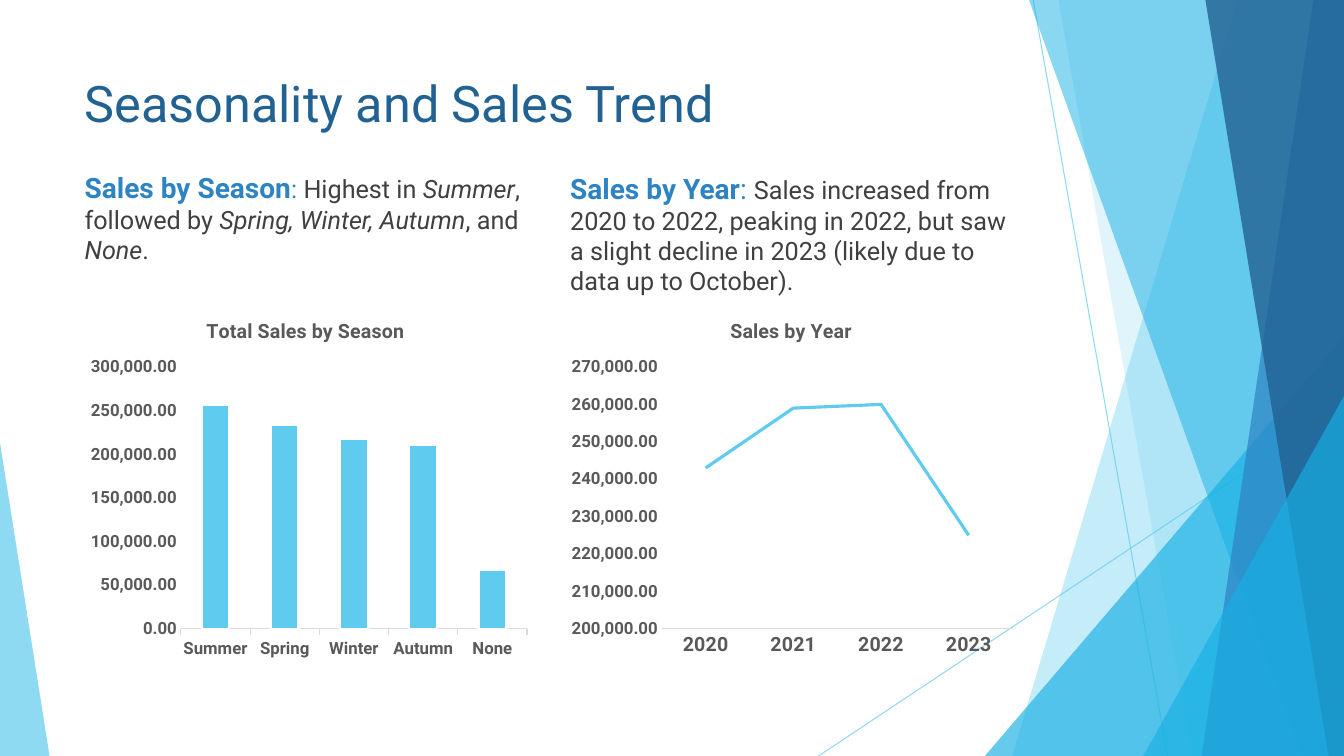
"""Build the slide on seasonality and the yearly sales trend."""
import pptx
import pptx.chart.data
import pptx.dml.color
import pptx.enum.chart
import pptx.enum.shapes
import pptx.enum.text
import pptx.oxml
import pptx.oxml.ns
import pptx.util
from lxml import etree

COLORS = {
    "sky": "5FCBEF", "cyan": "17B0E4", "blue": "2E83C3", "navy": "226292",
    "body": "404040", "label": "595959", "rule": "D9D9D9", "white": "FFFFFF",
}
COLUMNS, ROWS = 32, 18
LEFT, RIGHT, HALF = 1.78, 13.34, 10.99
CHART_TOP, CHART_HEIGHT = 7.18, 8.66
NO_TICK = pptx.enum.chart.XL_TICK_MARK.NONE
TICK_OUT = pptx.enum.chart.XL_TICK_MARK.OUTSIDE


def rgb(name):
    return pptx.dml.color.RGBColor.from_string(COLORS[name])


def set_font(font, size, color, bold=False, italic=False):
    font.name = "Roboto"
    font.size = pptx.util.Pt(size)
    font.bold = bold
    font.italic = italic
    font.color.rgb = rgb(color)


def write(paragraph, text, **style):
    run = paragraph.add_run()
    run.text = text
    set_font(run.font, **style)


def set_opacity(shape, percent):
    for color in shape._element.iter(pptx.oxml.ns.qn("a:srgbClr")):
        etree.SubElement(color, pptx.oxml.ns.qn("a:alpha"), val=str(percent * 1000))


class SalesSlide:
    """Draw elements on a grid of 32 columns by 18 rows."""

    def __init__(self, deck):
        self.slide = deck.slides.add_slide(deck.slide_layouts[6])
        self.shapes = self.slide.shapes
        self.column = deck.slide_width / COLUMNS
        self.row = deck.slide_height / ROWS

    def place(self, x, y):
        return round(x * self.column), round(y * self.row)

    def box(self, x, y, width, height):
        return *self.place(x, y), *self.place(width, height)

    def finish(self, shape, color, opacity):
        shape.shadow.inherit = False
        shape.fill.solid()
        shape.fill.fore_color.rgb = rgb(color)
        shape.line.fill.background()
        set_opacity(shape, opacity)

    def ray(self, start, end):
        ray = self.shapes.add_connector(
            pptx.enum.shapes.MSO_CONNECTOR.STRAIGHT, *self.place(*start), *self.place(*end))
        ray.line.width = pptx.util.Pt(0.75)
        ray.line.color.rgb = rgb("sky")
        set_opacity(ray, 70)
        etree.SubElement(ray._element.spPr, pptx.oxml.ns.qn("a:effectLst"))

    def band(self, top_x, bottom_x, color, opacity):
        outline = self.shapes.build_freeform(*self.place(top_x, 0))
        corners = [(COLUMNS, 0), (COLUMNS, ROWS), (bottom_x, ROWS)]
        outline.add_line_segments([self.place(*corner) for corner in corners], close=True)
        self.finish(outline.convert_to_shape(), color, opacity)

    def wedge(self, x, y, width, apex, color, opacity):
        wedge = self.shapes.add_shape(
            pptx.enum.shapes.MSO_SHAPE.ISOSCELES_TRIANGLE, *self.box(x, y, width, ROWS - y))
        wedge.adjustments[0] = apex
        self.finish(wedge, color, opacity)

    def text(self, area, runs, anchor, space_before=0):
        frame = self.shapes.add_textbox(*self.box(*area)).text_frame
        frame.word_wrap = True
        frame.vertical_anchor = anchor
        paragraph = frame.paragraphs[0]
        paragraph.space_before = pptx.util.Pt(space_before)
        for words, style in runs:
            write(paragraph, words, **style)

    def chart(self, kind, x, title, sales, limits, plot_area, label_size, tick):
        data = pptx.chart.data.CategoryChartData(number_format="#,##0.00")
        data.categories = list(sales)
        data.add_series("Series 1", list(sales.values()))
        area = self.box(x, CHART_TOP, HALF, CHART_HEIGHT)
        chart = self.shapes.add_chart(kind, *area, data).chart
        set_font(chart.font, 10, "label")
        chart.has_legend = False
        chart.has_title = True
        write(chart.chart_title.text_frame.paragraphs[0], title,
              size=14, color="label", bold=True)
        chart.chart_title.include_in_layout = False
        self.axes(chart, limits, label_size, tick)
        self.plot_layout(chart, plot_area)
        chart.plots[0].vary_by_categories = False
        return chart

    def axes(self, chart, limits, label_size, tick):
        values, names = chart.value_axis, chart.category_axis
        values.minimum_scale, values.maximum_scale, values.major_unit = limits
        values.tick_labels.number_format = "#,##0.00"
        values.tick_labels.number_format_is_linked = False
        values.has_major_gridlines = False
        values.major_tick_mark = NO_TICK
        values.format.line.fill.background()
        names.major_tick_mark = tick
        names.format.line.color.rgb = rgb("rule")
        names.format.line.width = pptx.util.Pt(0.75)
        set_font(values.tick_labels.font, 12, "label", bold=True)
        set_font(names.tick_labels.font, label_size, "label", bold=True)

    def plot_layout(self, chart, shares):
        area = chart._chartSpace.chart.plotArea
        for old in area.findall(pptx.oxml.ns.qn("c:layout")):
            area.remove(old)
        settings = [("layoutTarget", "inner"), ("xMode", "edge"), ("yMode", "edge"),
                    *zip("xywh", shares)]
        inner = "".join(f'<c:{tag} val="{value}"/>' for tag, value in settings)
        area.insert(0, pptx.oxml.parse_xml(
            f'<c:layout {pptx.oxml.ns.nsdecls("c")}>'
            f"<c:manualLayout>{inner}</c:manualLayout></c:layout>"))


def draw_backdrop(page):
    page.ray((24.6, 0), (27.8, ROWS))
    page.ray((COLUMNS, 9.67), (19.49, ROWS))
    page.band(29.47, 24.1, "sky", 36)
    page.band(25.2, 28.39, "sky", 20)
    page.wedge(23.45, 8, 8.55, 1, "cyan", 66)
    page.band(24.5, 30.98, "cyan", 50)
    page.band(31.27, 28.61, "blue", 70)
    page.band(28.7, 31.63, "navy", 80)
    page.wedge(27.22, 9.43, 4.78, 1, "cyan", 66)
    page.wedge(0, 10.54, 1.18, 0, "sky", 70)


def draw_text(page):
    anchors = pptx.enum.text.MSO_ANCHOR
    lead = {"size": 20, "color": "blue", "bold": True}
    plain = {"size": 18, "color": "body"}
    slanted = {**plain, "italic": True}
    page.text((LEFT, 1.6, 22.56, 3.46),
              [("Seasonality and Sales Trend", {"size": 36, "color": "navy"})], anchors.TOP)
    page.text((LEFT, 4.92, HALF, 1.5), [
        ("Sales by Season", lead), (": ", {"size": 18, "color": "blue"}),
        ("Highest in ", plain), ("Summer", slanted), (", followed by ", plain),
        ("Spring, Winter, Autumn", slanted), (", and ", plain), ("None", slanted),
        (".", plain)], anchors.BOTTOM, 10)
    page.text((RIGHT, 5.66, HALF, 1.5), [
        ("Sales by Year", lead), (": ", {"size": 20, "color": "blue"}),
        ("Sales increased from 2020 to 2022, peaking in 2022, but saw a slight decline "
         "in 2023 (likely due to data up to October).", plain)], anchors.BOTTOM, 10)


def draw_charts(page):
    kinds = pptx.enum.chart.XL_CHART_TYPE
    season_sales = {"Summer": 256000, "Spring": 234000, "Winter": 217000,
                    "Autumn": 211000, "None": 67000}
    year_sales = {"2020": 243000, "2021": 259000, "2022": 260000, "2023": 225000}
    seasons = page.chart(kinds.COLUMN_CLUSTERED, LEFT, "Total Sales by Season", season_sales,
                         (0, 300000, 50000), (0.23, 0.18, 0.75, 0.72), 12, TICK_OUT)
    seasons.plots[0].gap_width = 150
    bars = seasons.plots[0].series[0].format
    bars.fill.solid()
    bars.fill.fore_color.rgb = rgb("sky")
    bars.line.color.rgb = rgb("white")
    bars.line.width = pptx.util.Pt(1.5)
    years = page.chart(kinds.LINE, RIGHT, "Sales by Year", year_sales,
                       (200000, 270000, 10000), (0.22, 0.18, 0.76, 0.72), 14, NO_TICK)
    trend = years.plots[0].series[0]
    trend.smooth = False
    trend.marker.style = pptx.enum.chart.XL_MARKER_STYLE.NONE
    trend.format.line.color.rgb = rgb("sky")
    trend.format.line.width = pptx.util.Pt(2.25)


def main():
    deck = pptx.Presentation()
    deck.slide_width = pptx.util.Inches(13.33)
    deck.slide_height = pptx.util.Inches(7.5)
    page = SalesSlide(deck)
    draw_backdrop(page)
    draw_text(page)
    draw_charts(page)
    deck.save("out.pptx")


if __name__ == "__main__":
    main()
